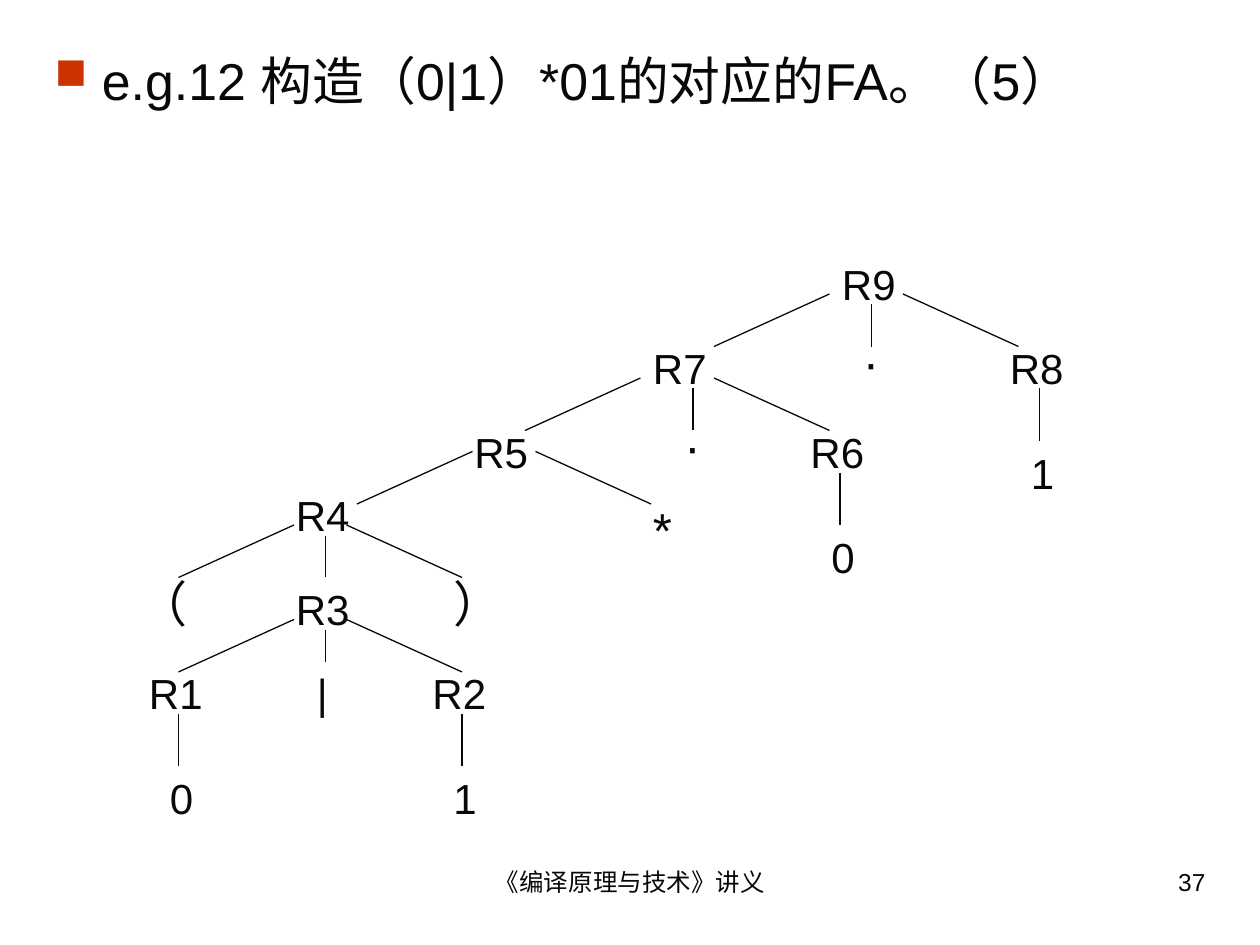
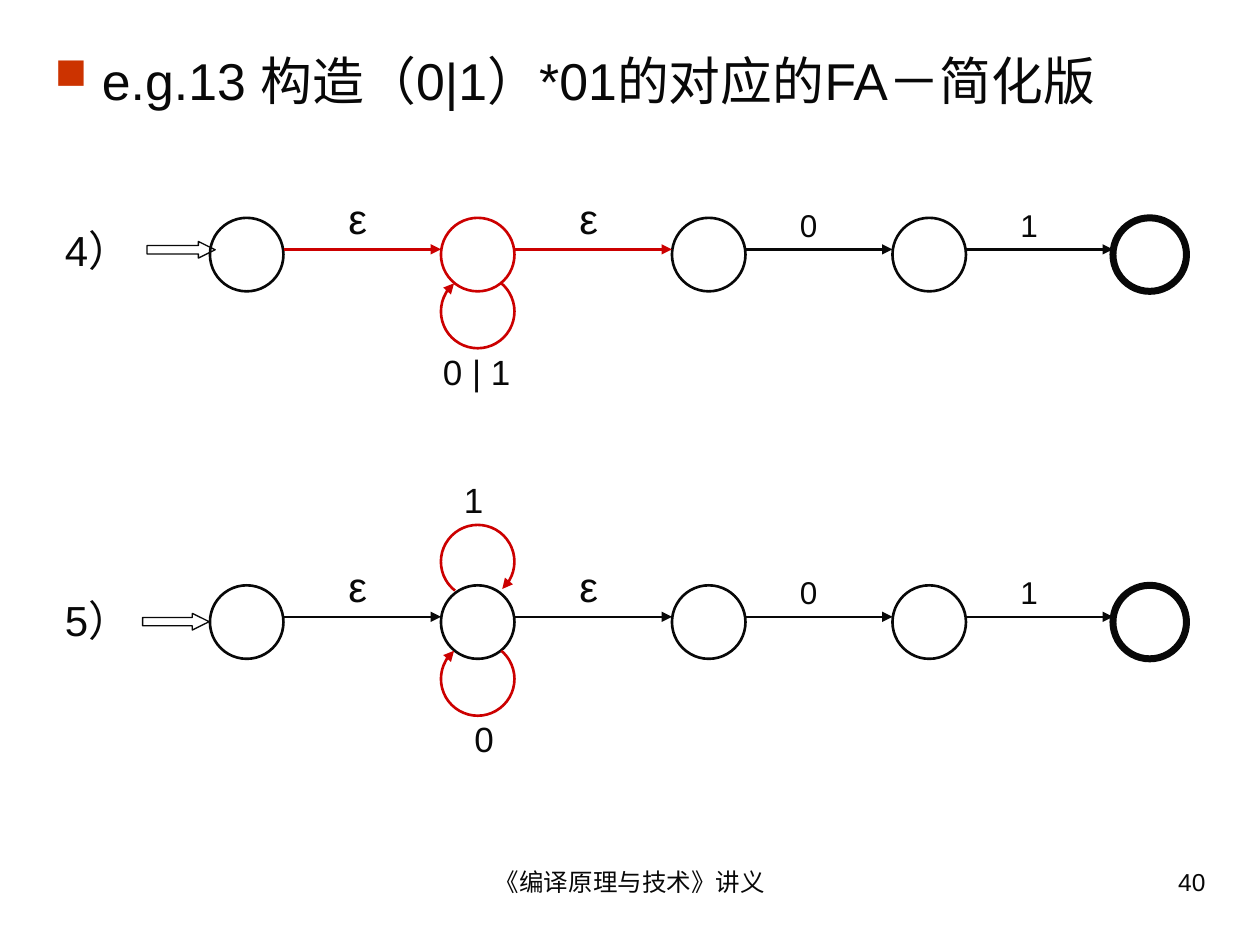
import itertools

import pptx
import pptx.dml.color
import pptx.enum.shapes
import pptx.enum.text
import pptx.oxml.ns
import pptx.util
from lxml import etree

Pt = pptx.util.Pt
qn = pptx.oxml.ns.qn
SHAPE = pptx.enum.shapes.MSO_SHAPE
ALIGN = pptx.enum.text.PP_ALIGN
COLORS = {"ink": "080808", "accent": "CC0000", "bullet": "CC3300"}
FONT = "Arial"
FOOTER = "《编译原理与技术》讲义"

# Syntax tree, in units of 6 pt
UNIT = 6
TREE_TERMS = [  # text, left, top, width
    ("R9", 79, 24, 9), ("R7", 61, 32, 9), ("R8", 95, 32, 10),
    ("R5", 44, 40, 9), ("R6", 76, 40, 10), ("1", 97, 42, 6),
    ("R4", 27, 46, 9), ("0", 78, 50, 6), ("R3", 27, 55, 9),
    ("R1", 13, 63, 10), ("|", 29, 63, 5), ("R2", 40, 63, 10),
    ("0", 15, 73, 6), ("1", 42, 73, 6),
]
TREE_OPERATORS = [
    ("·", 81, 31, 5), ("·", 64, 39, 5), ("*", 61, 47, 8),
    ("（", 12, 54, 10), ("）", 42, 54, 10),
]
TREE_FORKS = [(79, 86, 28), (61, 68, 36), (45, 51, 43), (28, 33, 50), (28, 33, 59)]  # left, right, top
FORK_WIDTH, FORK_HEIGHT = 11, 5
TREE_STEMS = [  # x, top, length
    (83, 29, 4), (99, 37, 5), (66, 37, 4), (80, 45, 5),
    (31, 51, 4), (31, 60, 3), (17, 68, 5), (44, 68, 5),
]

# Automata, in points
STATE_SIZE = 42
STATE_LEFTS = [120, 252, 384, 510, 636]
TRANSITIONS = ["ε", "ε", "0", "1"]


class Deck:
    def __init__(self):
        self.prs = pptx.Presentation()
        self.prs.slide_width, self.prs.slide_height = Pt(720), Pt(540)
        self.slide = None

    def new_slide(self, title, page):
        self.slide = self.prs.slides.add_slide(self.prs.slide_layouts[5])
        self.heading(title)
        self.text(FOOTER, 246, 492, 228, 37.5, 14, ALIGN.CENTER)
        self.text(page, 516, 492, 180, 37.5, 14, ALIGN.RIGHT)

    def set_text(self, frame, words, size, align):
        frame.word_wrap = True
        frame.auto_size = pptx.enum.text.MSO_AUTO_SIZE.NONE
        frame.vertical_anchor = pptx.enum.text.MSO_ANCHOR.TOP
        paragraph = frame.paragraphs[0]
        paragraph.alignment = align
        run = paragraph.add_run()
        run.text = words
        run.font.name, run.font.size = FONT, Pt(size)
        run.font.color.rgb = self.color("ink")

    def heading(self, words):
        title = self.slide.shapes.title
        title.left, title.top, title.width, title.height = Pt(24), Pt(24), Pt(672), Pt(60)
        props = title.text_frame.paragraphs[0]._p.get_or_add_pPr()
        props.set("marL", str(Pt(27)))
        props.set("indent", str(-Pt(27)))
        bullet_color = etree.SubElement(props, qn("a:buClr"))
        etree.SubElement(bullet_color, qn("a:srgbClr"), val=COLORS["bullet"])
        etree.SubElement(props, qn("a:buSzPct"), val="85000")
        etree.SubElement(props, qn("a:buChar"), char="■")
        self.set_text(title.text_frame, words, 29.6, ALIGN.LEFT)

    def text(self, words, left, top, width, height, size, align=ALIGN.LEFT):
        box = self.slide.shapes.add_textbox(Pt(left), Pt(top), Pt(width), Pt(height))
        self.set_text(box.text_frame, words, size, align)

    def color(self, name):
        return pptx.dml.color.RGBColor.from_string(COLORS[name])

    def stroke(self, item, color, weight, arrow):
        item.line.color.rgb = self.color(color)
        item.line.width = Pt(weight)
        if arrow:
            outline = item._element.spPr.find(qn("a:ln"))
            etree.SubElement(outline, qn("a:tailEnd"), type="triangle")

    def line(self, x1, y1, x2, y2, color="ink", weight=0.75, arrow=False):
        connector = self.slide.shapes.add_connector(
            pptx.enum.shapes.MSO_CONNECTOR.STRAIGHT, Pt(x1), Pt(y1), Pt(x2), Pt(y2))
        self.stroke(connector, color, weight, arrow)
        etree.SubElement(connector._element.spPr, qn("a:effectLst"))

    def outline(self, kind, left, top, width, height, color="ink", weight=1.5,
                adjustments=(), arrow=False):
        shape = self.slide.shapes.add_shape(kind, Pt(left), Pt(top), Pt(width), Pt(height))
        for i, value in enumerate(adjustments):
            shape.adjustments[i] = value
        shape.fill.background()
        shape.shadow.inherit = False
        self.stroke(shape, color, weight, arrow)

    def loop(self, top, start, end):
        """Draw a clockwise arc on the second state; angles are in degrees from the right."""
        # An adjustment of 1 is 100000 units, and a degree is 60000 units.
        self.outline(SHAPE.ARC, STATE_LEFTS[1], top, STATE_SIZE, STATE_SIZE, "accent",
                     adjustments=(start * 0.6, end * 0.6), arrow=True)


def draw_tree(deck):
    for nodes, size, height in ((TREE_TERMS, 24, 36), (TREE_OPERATORS, 28, 41)):
        for words, left, top, width in nodes:
            deck.text(words, left * UNIT, top * UNIT, width * UNIT, height, size)
    for left, right, top in TREE_FORKS:
        for x, reach in ((left, -FORK_WIDTH), (right, FORK_WIDTH)):
            deck.line(x * UNIT, top * UNIT, (x + reach) * UNIT, (top + FORK_HEIGHT) * UNIT)
    for x, top, length in TREE_STEMS:
        deck.line(x * UNIT, top * UNIT, x * UNIT, (top + length) * UNIT)


def draw_automaton(deck, step, step_top, top, highlight):
    """Draw one row of states; highlight colours the second state and the ε edges."""
    deck.text(step, 30, step_top, 54, 65, 24)
    for i, left in enumerate(STATE_LEFTS):
        deck.outline(SHAPE.OVAL, left, top, STATE_SIZE, STATE_SIZE,
                     highlight if i == 1 else "ink", 4 if left == STATE_LEFTS[-1] else 1.5)
    for symbol, (left, following) in zip(TRANSITIONS, itertools.pairwise(STATE_LEFTS)):
        empty = symbol == "ε"
        deck.line(left + STATE_SIZE, top + 18, following, top + 18,
                  highlight if empty else "ink", 1.5, arrow=True)
        if empty:
            deck.text(symbol, left + 72, top - 18, 66, 36, 24)
        else:
            deck.text(symbol, left + 66, top - 10.5, 78, 29, 18)
    deck.loop(top + 32.5, 310, 230)


def draw_start_arrow(deck, left, top, width):
    deck.outline(SHAPE.RIGHT_ARROW, left, top, width, 9.5, weight=0.75, adjustments=(0.5, 1.01))


def main():
    deck = Deck()

    deck.new_slide("e.g.12 构造（0|1）*01的对应的FA。（5）", "37")
    draw_tree(deck)

    deck.new_slide("e.g.13 构造（0|1）*01的对应的FA－简化版", "40")
    draw_automaton(deck, "4）", 124.5, 124.5, "accent")
    draw_start_arrow(deck, 84, 138, 39)
    deck.text("0 | 1", 246, 196.5, 78, 32, 20)
    draw_automaton(deck, "5）", 336, 334.5, "ink")
    draw_start_arrow(deck, 81.5, 350.5, 38)
    deck.text("0", 264, 406.5, 36, 32, 20)
    deck.loop(300, 128, 48)
    deck.text("1", 258, 270, 36, 32, 20)

    deck.prs.save("out.pptx")


if __name__ == "__main__":
    main()
